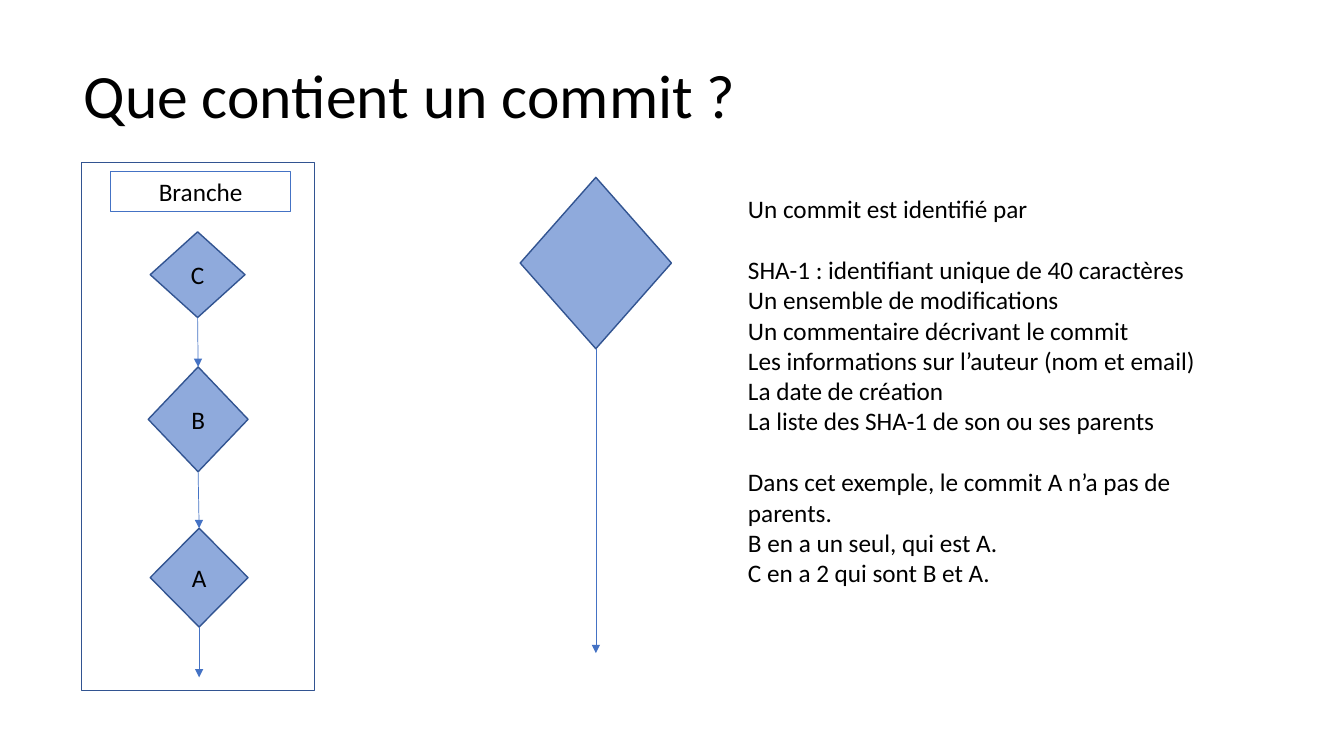
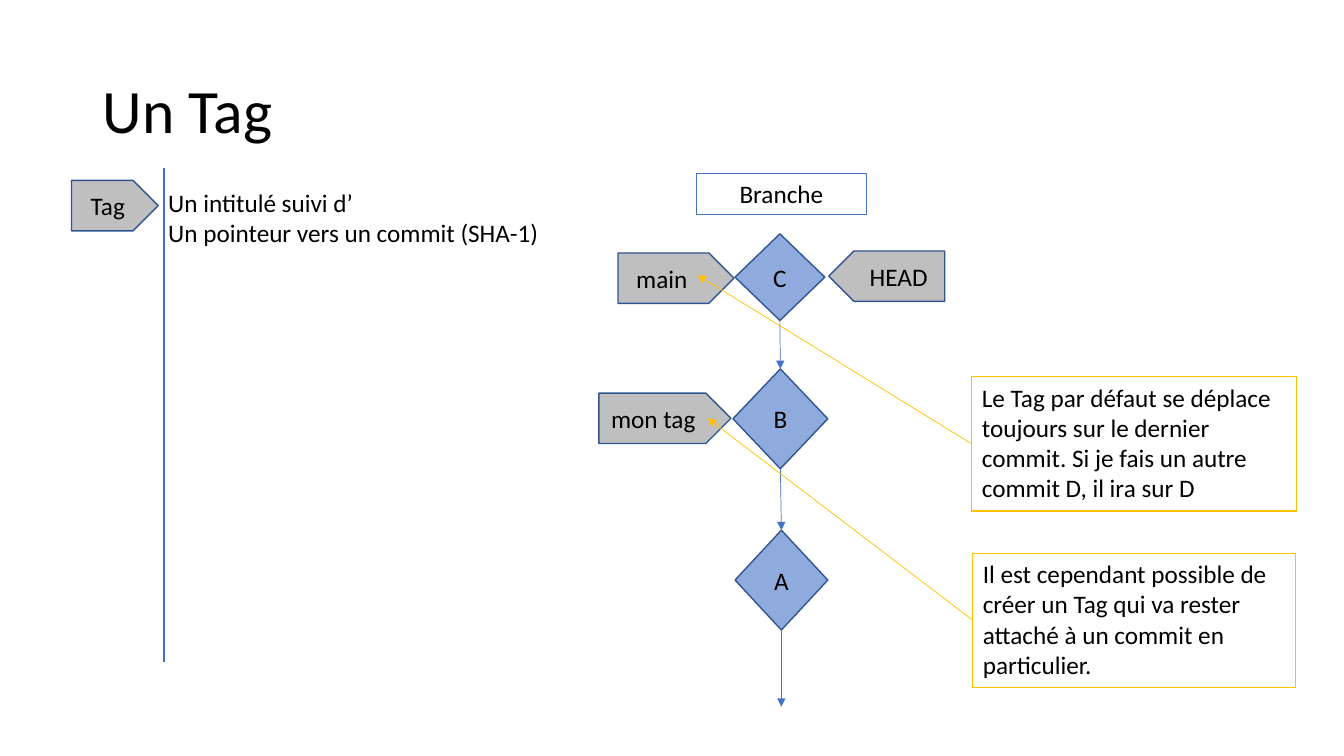
from lxml.etree import SubElement
from pptx import Presentation
from pptx.dml.color import RGBColor
from pptx.enum.shapes import MSO_CONNECTOR, MSO_SHAPE
from pptx.enum.text import MSO_ANCHOR, MSO_AUTO_SIZE, PP_ALIGN
from pptx.oxml.ns import qn
from pptx.util import Inches, Pt

COLORS = {
    "text": "000000",
    "outline": "325491",
    "accent": "4472C4",
    "commit": "8FAADC",
    "tag": "BFBFBF",
    "callout": "FFC000",
}
FONT = "Calibri"
BODY_SIZE = 18
TITLE_SIZE = 44
BLANK_LINE = 22
TOP, LEFT, BOTTOM = 0, 1, 2


def color(name):
    return RGBColor.from_string(COLORS[name])


class Deck:
    def __init__(self):
        self.presentation = Presentation()
        self.presentation.slide_width = Inches(13.33)
        self.presentation.slide_height = Inches(7.5)
        self.slide = None

    def add_slide(self, title, left, top):
        self.slide = self.presentation.slides.add_slide(self.presentation.slide_layouts[5])
        shape = self.slide.shapes.title
        shape.left, shape.top = Inches(left), Inches(top)
        shape.width, shape.height = Inches(11.5), Inches(1.45)
        frame = shape.text_frame
        frame.auto_size = MSO_AUTO_SIZE.NONE
        frame.vertical_anchor = MSO_ANCHOR.MIDDLE
        self.set_lines(frame, [title], TITLE_SIZE)
        frame.paragraphs[0].line_spacing = 0.9

    def set_lines(self, frame, lines, size=BODY_SIZE, align=PP_ALIGN.LEFT):
        frame.text = "\n".join(lines)
        for paragraph in frame.paragraphs:
            paragraph.alignment = align
            for run in paragraph.runs:
                run.font.name = FONT
                run.font.size = Pt(size)
                run.font.color.rgb = color("text")

    def shape(self, kind, box, fill=None, line="outline", weight=1):
        shape = self.slide.shapes.add_shape(kind, *map(Inches, box))
        shape.shadow.inherit = False
        if fill:
            shape.fill.solid()
            shape.fill.fore_color.rgb = color(fill)
        else:
            shape.fill.background()
        shape.line.color.rgb = color(line)
        shape.line.width = Pt(weight)
        return shape

    def text(self, box, lines, border=None, align=PP_ALIGN.LEFT):
        shape = self.slide.shapes.add_textbox(*map(Inches, box))
        shape.text_frame.word_wrap = True
        self.set_lines(shape.text_frame, lines, align=align)
        if border:
            shape.line.color.rgb = color(border)
            shape.line.width = Pt(0.75)
        return shape

    def label(self, shape, text, align=PP_ALIGN.CENTER, margin_left=0, margin_right=0):
        frame = shape.text_frame
        frame.word_wrap = False
        frame.vertical_anchor = MSO_ANCHOR.MIDDLE
        frame.margin_top = frame.margin_bottom = 0
        frame.margin_left, frame.margin_right = Inches(margin_left), Inches(margin_right)
        self.set_lines(frame, [text], align=align)

    def commit(self, box, name=""):
        shape = self.shape(MSO_SHAPE.DIAMOND, box, "commit")
        if name:
            self.label(shape, name)
        return shape

    def tag(self, box, name, margin):
        shape = self.shape(MSO_SHAPE.PENTAGON, box, "tag")
        self.label(shape, name, PP_ALIGN.LEFT, margin_left=margin)

    def head_tag(self, box, name, margin):
        shape = self.shape(MSO_SHAPE.PENTAGON, box, "tag")
        shape._element.spPr.find(qn("a:xfrm")).set("flipH", "1")
        self.label(shape, name, PP_ALIGN.RIGHT, margin_right=margin)

    def line(self, start, end, line="accent", weight=0.5, arrow=False):
        points = map(Inches, (*start, *end))
        connector = self.slide.shapes.add_connector(MSO_CONNECTOR.STRAIGHT, *points)
        connector.line.color.rgb = color(line)
        connector.line.width = Pt(weight)
        properties = connector._element.spPr
        if arrow:
            SubElement(properties.find(qn("a:ln")), qn("a:tailEnd"), type="triangle")
        SubElement(properties, qn("a:effectLst"))
        return connector

    def arrow_from(self, shape, site, end, line="accent"):
        connector = self.line(end, end, line, arrow=True)
        connector.begin_connect(shape, site)
        return connector

    def parent_arrow(self, commit, bottom):
        center = (commit.left + commit.width / 2) / Inches(1)
        return self.arrow_from(commit, BOTTOM, (center, bottom))

    def branch(self, name_box, commit_boxes, bottom):
        self.text(name_box, ["Branche"], "accent", PP_ALIGN.CENTER)
        commits = [self.commit(box, name) for name, box in zip("CBA", commit_boxes)]
        for child, parent in zip(commits, commits[1:]):
            self.parent_arrow(child, bottom).end_connect(parent, TOP)
        self.parent_arrow(commits[-1], bottom)

    def callout(self, box, text, target):
        shape = self.text(box, [text], "callout")
        self.arrow_from(shape, LEFT, target, "callout")


def build_commit_slide(deck):
    deck.add_slide("Que contient un commit ?", 0.73, 0.25)
    deck.shape(MSO_SHAPE.RECTANGLE, (0.81, 1.61, 2.31, 5.24))
    deck.branch(
        (1.1, 1.7, 1.78, 0.4),
        [(1.49, 2.3, 0.94, 0.85), (1.47, 3.64, 0.99, 1.04), (1.49, 5.24, 0.97, 0.98)],
        6.72,
    )
    deck.parent_arrow(deck.commit((5.16, 1.76, 1.5, 1.7)), 6.48)
    groups = [
        ["Un commit est identifié par"],
        [
            "SHA-1 : identifiant unique de 40 caractères",
            "Un ensemble de modifications",
            "Un commentaire décrivant le commit",
            "Les informations sur l’auteur (nom et email)",
            "La date de création",
            "La liste des SHA-1 de son ou ses parents",
        ],
        [
            "Dans cet exemple, le commit A n’a pas de parents.",
            "B en a un seul, qui est A.",
            "C en a 2 qui sont B et A.",
        ],
    ]
    description = deck.text((7.32, 1.87, 5.09, 4.04), sum(groups, []))
    for paragraph in description.text_frame.paragraphs:
        if paragraph.text in [group[0] for group in groups[1:]]:
            paragraph.space_before = Pt(BLANK_LINE)


def build_tag_slide(deck):
    deck.add_slide("Un Tag", 0.92, 0.4)
    deck.tag((0.71, 1.79, 0.86, 0.5), "Tag", 0.19)
    deck.line((1.63, 1.67), (1.63, 6.57), weight=1.5)
    deck.text(
        (1.57, 1.81, 3.91, 0.71),
        ["Un intitulé suivi d’", "Un pointeur vers un commit (SHA-1)"],
    )
    deck.branch(
        (6.91, 1.72, 1.68, 0.41),
        [(7.29, 2.32, 0.89, 0.86), (7.27, 3.66, 0.94, 0.99), (7.29, 5.26, 0.92, 0.99)],
        7.01,
    )
    deck.tag((6.13, 2.51, 1.15, 0.5), "main", 0.18)
    deck.tag((5.94, 3.9, 1.31, 0.5), "mon tag", 0.12)
    deck.head_tag((8.22, 2.49, 1.15, 0.5), "HEAD", 0.17)
    deck.callout(
        (9.64, 3.74, 3.22, 1.33),
        "Le Tag par défaut se déplace toujours sur le dernier commit. "
        "Si je fais un autre commit D, il ira sur D",
        (6.92, 2.73),
    )
    deck.callout(
        (9.65, 5.49, 3.2, 1.33),
        "Il est cependant possible de créer un Tag qui va rester attaché "
        "à un commit en particulier.",
        (7.02, 4.15),
    )


def main():
    deck = Deck()
    build_commit_slide(deck)
    build_tag_slide(deck)
    deck.presentation.save("out.pptx")


if __name__ == "__main__":
    main()
